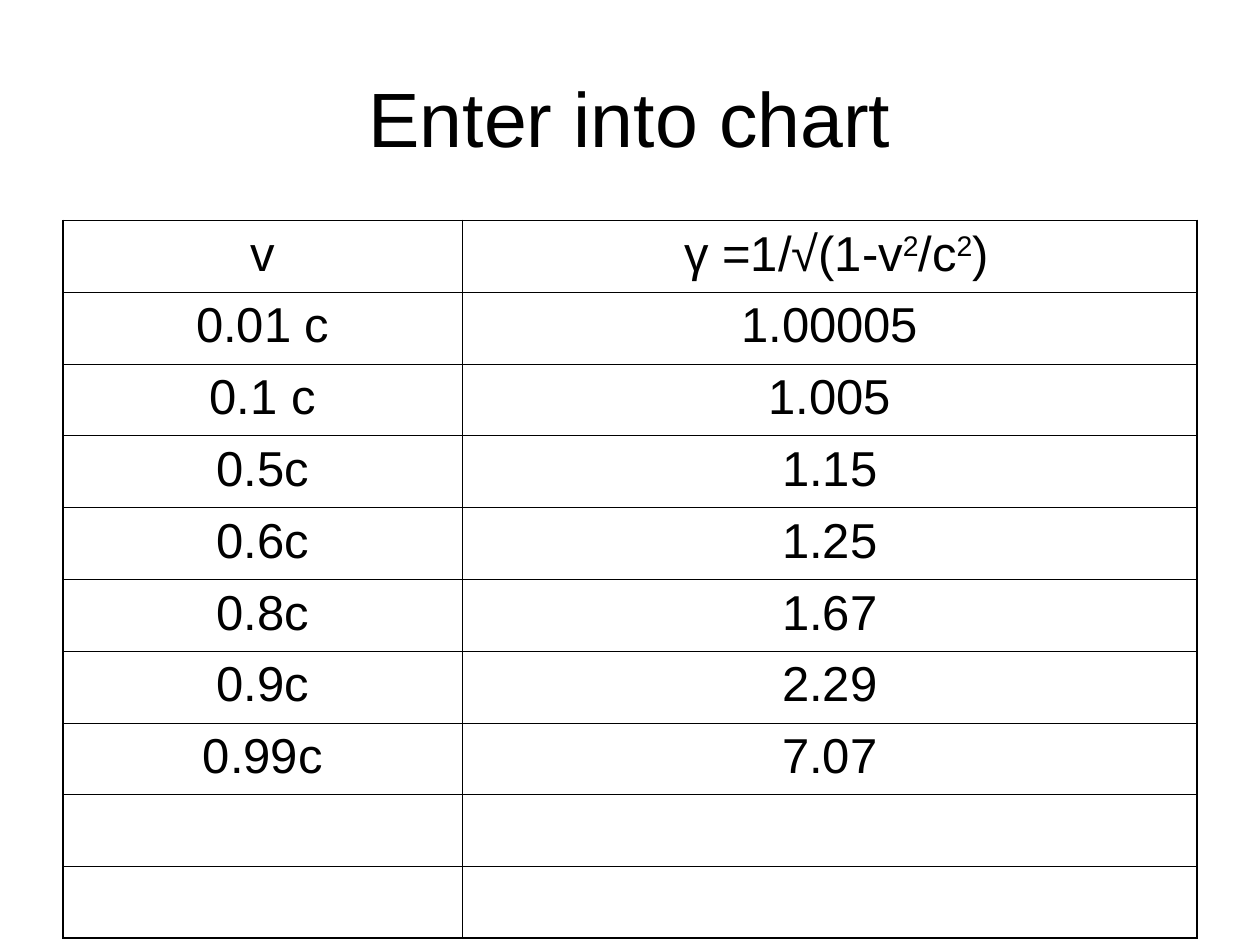
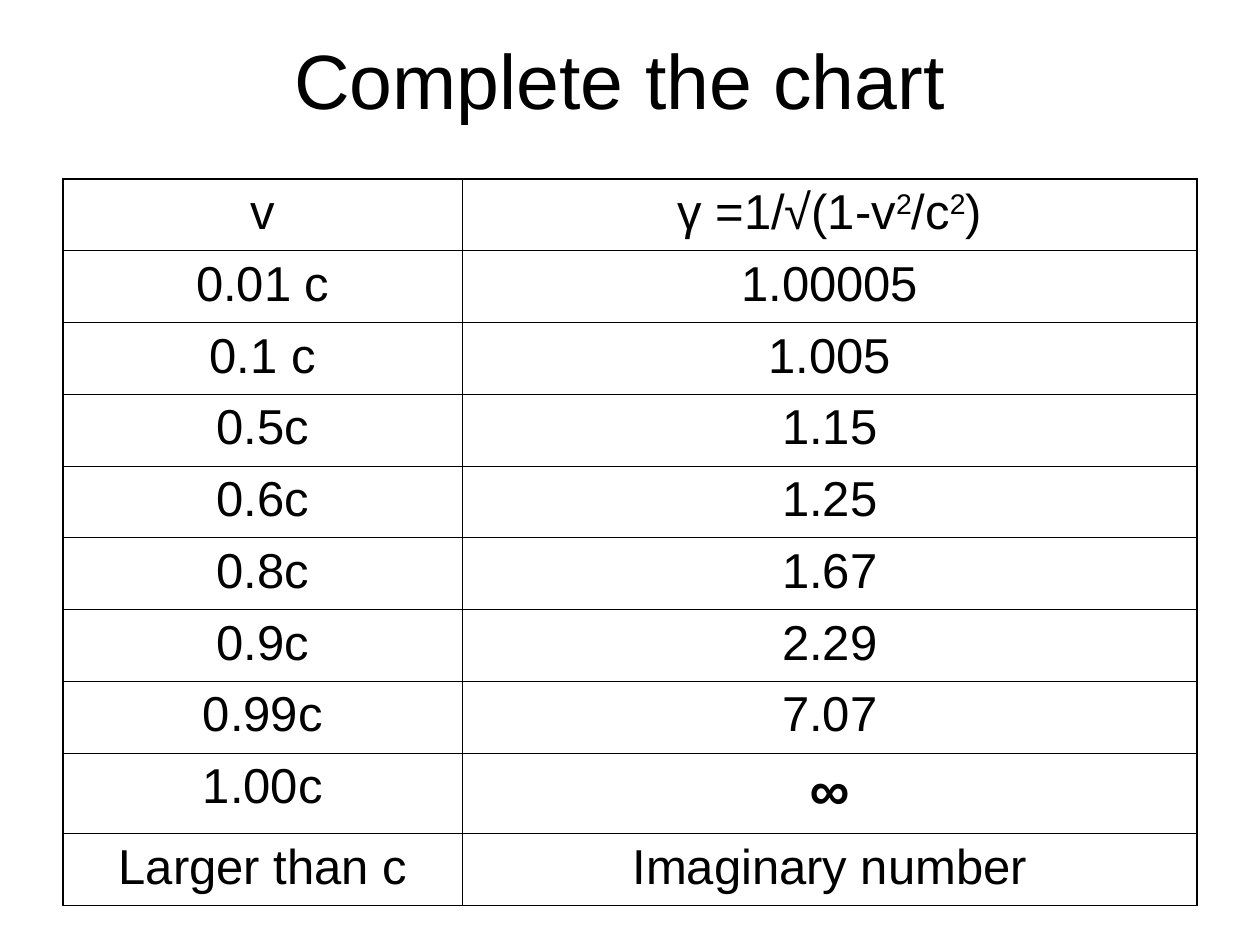
"""Build two slides that tabulate the Lorentz factor against speed."""
from dataclasses import dataclass

from lxml.etree import SubElement as Sub
from pptx import Presentation
from pptx.dml.color import RGBColor as Rgb
from pptx.enum.text import MSO_ANCHOR as Anchor, MSO_AUTO_SIZE as Auto, PP_ALIGN as Align
from pptx.oxml.ns import qn
from pptx.util import Inches, Pt

COLORS = {"text": "000000", "line": "000000", "page": "FFFFFF"}
FONT = "Arial"
THIN, THICK = 0.45, 1.08
WIDTHS = (3.17, 5.83)
ROW = 0.57
SPEEDS = (
    ("0.01 c", "1.00005"),
    ("0.1 c", "1.005"),
    ("0.5c", "1.15"),
    ("0.6c", "1.25"),
    ("0.8c", "1.67"),
    ("0.9c", "2.29"),
    ("0.99c", "7.07"),
)
GAMMA = "γ =1/√(1-v²/c²)"
LIMIT = "∞"


@dataclass(frozen=True)
class Page:
    title: str
    left: float
    top: float
    start: float
    head: str
    tail: tuple[tuple[str, str], ...]


PAGES = (
    Page("Enter into chart", 0.5, 0.3, 1.75, " " + GAMMA, (("", ""), ("", ""))),
    Page("Complete the chart", 0.42, 0, 1.42, GAMMA,
         (("1.00c", LIMIT), ("Larger than c", "Imaginary number"))),
)


def write(frame, text: str, *, size: float = 28, bold: bool = False) -> None:
    para = frame.paragraphs[0]
    para.alignment = Align.CENTER
    for num, part in enumerate(text.split("²")):
        for piece, base in (("2", 30000), (part, 0)) if num else ((part, 0),):
            if not piece:
                continue
            run = para.add_run()
            run.text = piece
            font = run.font
            font.name, font.size, font.bold = FONT, Pt(size), bold
            font.color.rgb = Rgb.from_string(COLORS["text"])
            if base:
                run._r.get_or_add_rPr().set("baseline", str(base))


def frame_cell(cell, edges: dict[str, float]) -> None:
    props = cell._tc.get_or_add_tcPr()
    for side, width in edges.items():
        line = Sub(props, qn(f"a:ln{side}"), w=str(Pt(width)))
        fill = Sub(line, qn("a:solidFill"))
        Sub(fill, qn("a:srgbClr"), val=COLORS["line"])
    cell.fill.background()


def draw_table(slide, page: Page) -> None:
    rows = (("v", page.head), *SPEEDS, *page.tail)
    tall = [0.64 if LIMIT in row else ROW for row in rows]
    table = slide.shapes.add_table(
        len(rows), len(WIDTHS), Inches(0.5), Inches(page.start),
        Inches(sum(WIDTHS)), Inches(sum(tall))).table
    table.first_row = table.horz_banding = False
    for col, width in zip(table.columns, WIDTHS):
        col.width = Inches(width)
    for r, (row, high) in enumerate(zip(rows, tall)):
        table.rows[r].height = Inches(high)
        for c, text in enumerate(row):
            cell = table.cell(r, c)
            outer = {"L": c == 0, "R": c == len(row) - 1,
                     "T": r == 0, "B": r == len(rows) - 1}
            frame_cell(cell, {side: THICK if out else THIN for side, out in outer.items()})
            big = text == LIMIT
            write(cell.text_frame, text, size=32 if big else 28, bold=big)


def draw_title(slide, page: Page) -> None:
    title = slide.shapes.title
    title.left, title.top = Inches(page.left), Inches(page.top)
    title.width, title.height = Inches(9), Inches(1.25)
    frame = title.text_frame
    frame.word_wrap = True
    frame.auto_size = Auto.NONE
    frame.vertical_anchor = Anchor.MIDDLE
    write(frame, page.title, size=44)


def main() -> None:
    deck = Presentation()
    deck.slide_width, deck.slide_height = Inches(10), Inches(7.5)
    back = deck.slide_master.background.fill
    back.solid()
    back.fore_color.rgb = Rgb.from_string(COLORS["page"])
    for page in PAGES:
        slide = deck.slides.add_slide(deck.slide_layouts[5])
        draw_title(slide, page)
        draw_table(slide, page)
    deck.save("out.pptx")


if __name__ == "__main__":
    main()
